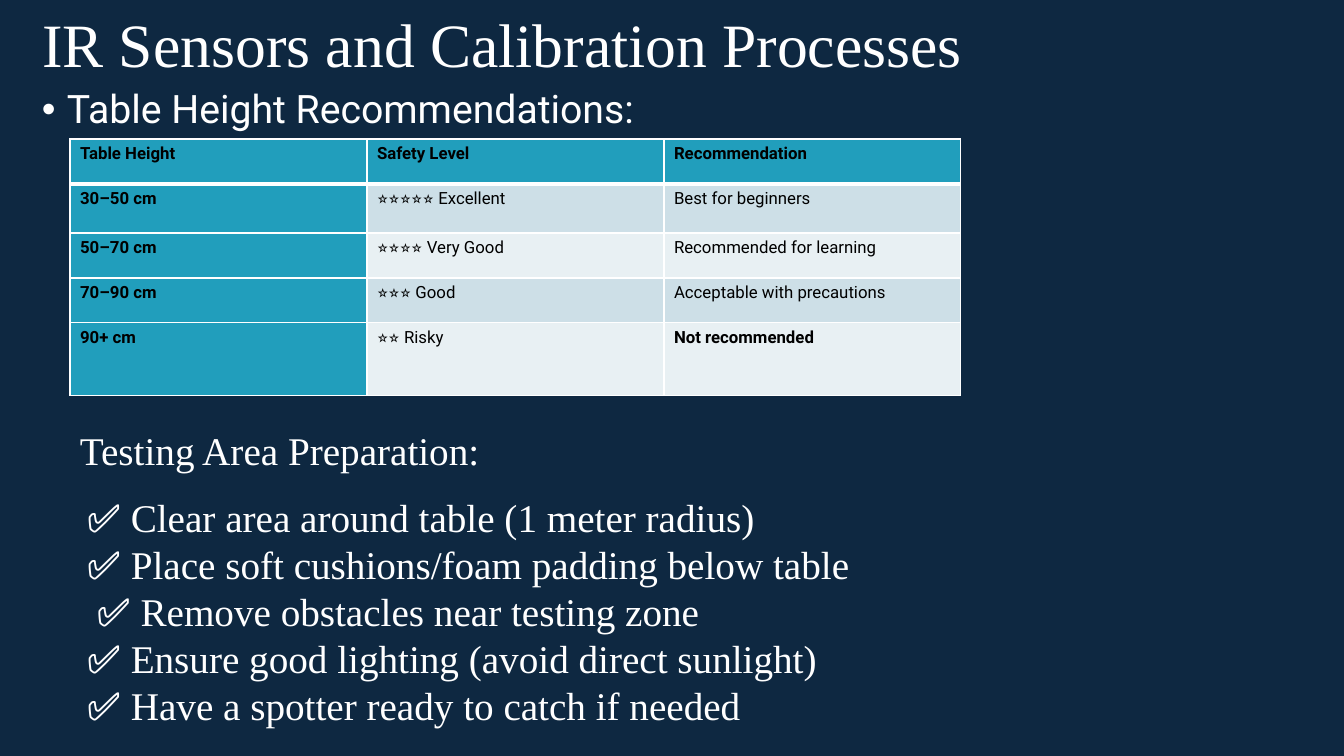
from lxml import etree
from pptx import Presentation
from pptx.dml.color import RGBColor
from pptx.enum.text import MSO_ANCHOR, MSO_AUTO_SIZE, PP_ALIGN
from pptx.oxml.ns import qn
from pptx.util import Pt

EMU_PER_PX = 914400 / 100.8

NAVY = RGBColor(0x0E, 0x28, 0x41)
TEAL = RGBColor(0x21, 0x9E, 0xBC)
BLUE_BAND = RGBColor(0xCD, 0xDF, 0xE7)
PALE_BAND = RGBColor(0xE8, 0xF0, 0xF3)
WHITE = RGBColor(0xFF, 0xFF, 0xFF)
BLACK = RGBColor(0x00, 0x00, 0x00)
SERIF = "Times New Roman"
SANS = "Roboto"

COLUMN_WIDTH = 297
ROW_HEIGHTS = [45, 49, 45, 45, 73]
HEIGHT_TABLE = [
    ("Table Height", "Safety Level", "Recommendation"),
    ("30–50 cm", "⭐⭐⭐⭐⭐ Excellent", "Best for beginners"),
    ("50–70 cm", "⭐⭐⭐⭐ Very Good", "Recommended for learning"),
    ("70–90 cm", "⭐⭐⭐ Good", "Acceptable with precautions"),
    ("90+ cm", "⭐⭐ Risky", "Not recommended"),
]
PREPARATION_STEPS = [
    "✅ Clear area around table (1 meter radius)",
    "✅ Place soft cushions/foam padding below table",
    " ✅ Remove obstacles near testing zone",
    "✅ Ensure good lighting (avoid direct sunlight)",
    "✅ Have a spotter ready to catch if needed",
]


def px(length):
    return round(length * EMU_PER_PX)


def add_run(paragraph, text, size, font_name, color, bold=False):
    run = paragraph.add_run()
    run.text = text
    run.font.size = Pt(size)
    run.font.name = font_name
    run.font.color.rgb = color
    run.font.bold = bold


def set_title(slide, text):
    title = slide.shapes.title
    title.left, title.top, title.width, title.height = px(32), px(-25), px(1159), px(146)
    frame = title.text_frame
    frame.auto_size = MSO_AUTO_SIZE.NONE
    frame.vertical_anchor = MSO_ANCHOR.MIDDLE
    paragraph = frame.paragraphs[0]
    paragraph.alignment = PP_ALIGN.LEFT
    paragraph.line_spacing = 0.9
    add_run(paragraph, text, 44, SERIF, WHITE)


def add_text(slide, left, top, width, height, lines, font_name=SERIF):
    box = slide.shapes.add_textbox(px(left), px(top), px(width), px(height))
    frame = box.text_frame
    frame.word_wrap = True
    for index, line in enumerate(lines):
        paragraph = frame.add_paragraph() if index else frame.paragraphs[0]
        add_run(paragraph, line, 28, font_name, WHITE)
    return frame


def add_bullet(paragraph, indent):
    paragraph.line_spacing = 0.9
    paragraph.space_before = Pt(10)
    properties = paragraph._p.get_or_add_pPr()
    properties.set("marL", str(px(indent)))
    properties.set("indent", str(-px(indent)))
    etree.SubElement(properties, qn("a:buFont"), typeface="Arial")
    etree.SubElement(properties, qn("a:buChar"), char="•")


def set_borders(cell, top, bottom):
    properties = cell._tc.get_or_add_tcPr()
    for side, width in (("L", 1), ("R", 1), ("T", top), ("B", bottom)):
        line = etree.SubElement(properties, qn(f"a:ln{side}"), w=str(Pt(width)))
        fill = etree.SubElement(line, qn("a:solidFill"))
        etree.SubElement(fill, qn("a:srgbClr"), val=str(WHITE))


def add_height_table(slide, left, top):
    rows, columns = len(HEIGHT_TABLE), len(HEIGHT_TABLE[0])
    table = slide.shapes.add_table(
        rows, columns, px(left), px(top), px(columns * COLUMN_WIDTH), px(sum(ROW_HEIGHTS))
    ).table
    table.horz_banding = False
    for column in table.columns:
        column.width = px(COLUMN_WIDTH)
    for row_index, texts in enumerate(HEIGHT_TABLE):
        table.rows[row_index].height = px(ROW_HEIGHTS[row_index])
        band = BLUE_BAND if row_index % 2 else PALE_BAND
        for column_index, text in enumerate(texts):
            cell = table.cell(row_index, column_index)
            heading = row_index == 0 or column_index == 0
            # A thick rule parts the header from the rows below
            set_borders(cell, 3 if row_index == 1 else 1, 3 if row_index == 0 else 1)
            cell.fill.solid()
            cell.fill.fore_color.rgb = TEAL if heading else band
            bold = heading or text == "Not recommended"
            add_run(cell.text_frame.paragraphs[0], text, 12, SANS, BLACK, bold)


def main():
    presentation = Presentation()
    presentation.slide_width, presentation.slide_height = px(1344), px(756)
    slide = presentation.slides.add_slide(presentation.slide_layouts[5])
    slide.background.fill.solid()
    slide.background.fill.fore_color.rgb = NAVY

    # Title and table section
    set_title(slide, "IR Sensors and Calibration Processes")
    heading = add_text(slide, 32, 85, 1281, 50, ["Table Height Recommendations:"], SANS)
    add_bullet(heading.paragraphs[0], 25)
    add_height_table(slide, 70, 139)

    # Testing area section
    add_text(slide, 70, 421, 428, 57, ["Testing Area Preparation:"])
    add_text(slide, 77, 488, 880, 254, PREPARATION_STEPS)

    presentation.save("out.pptx")


if __name__ == "__main__":
    main()
